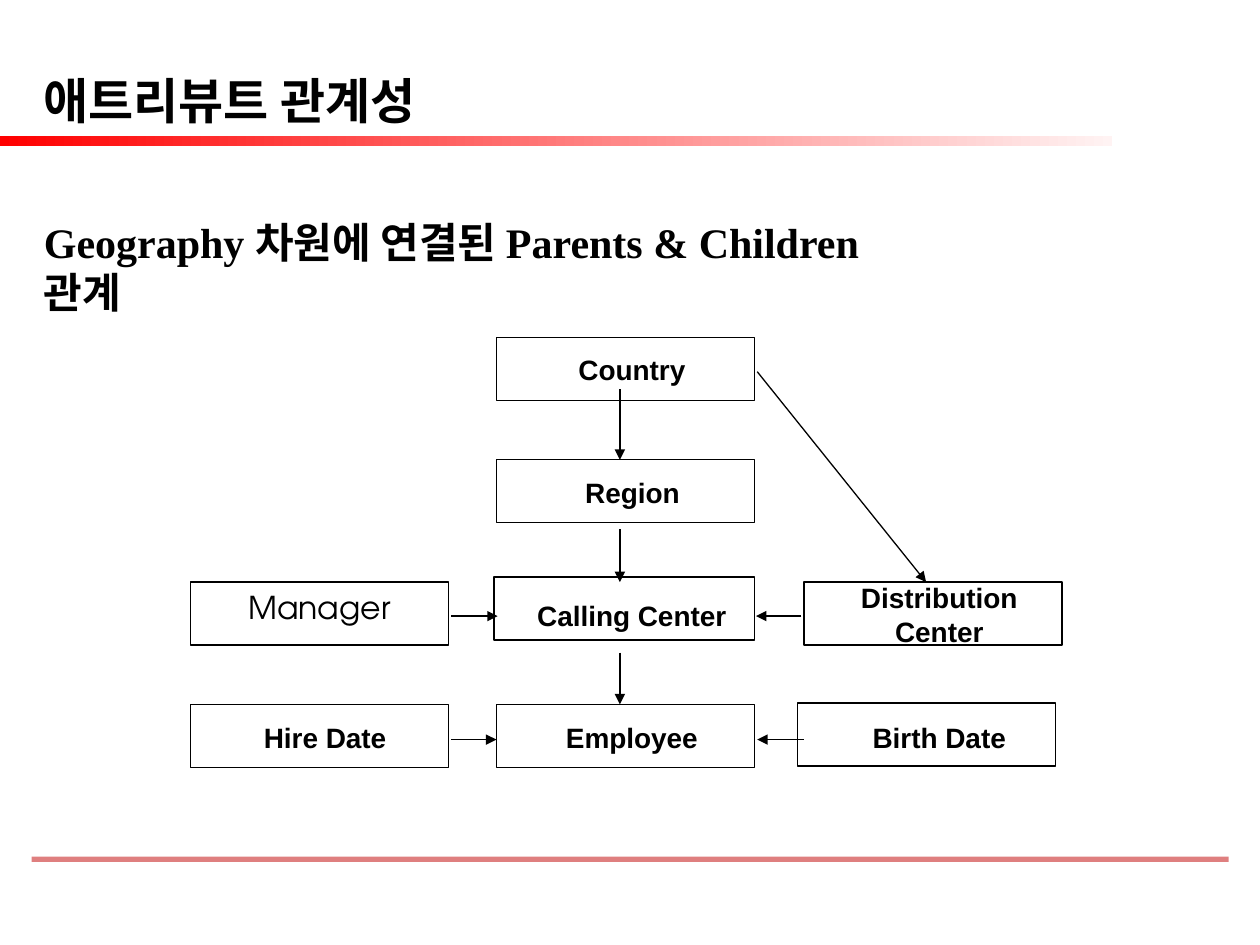
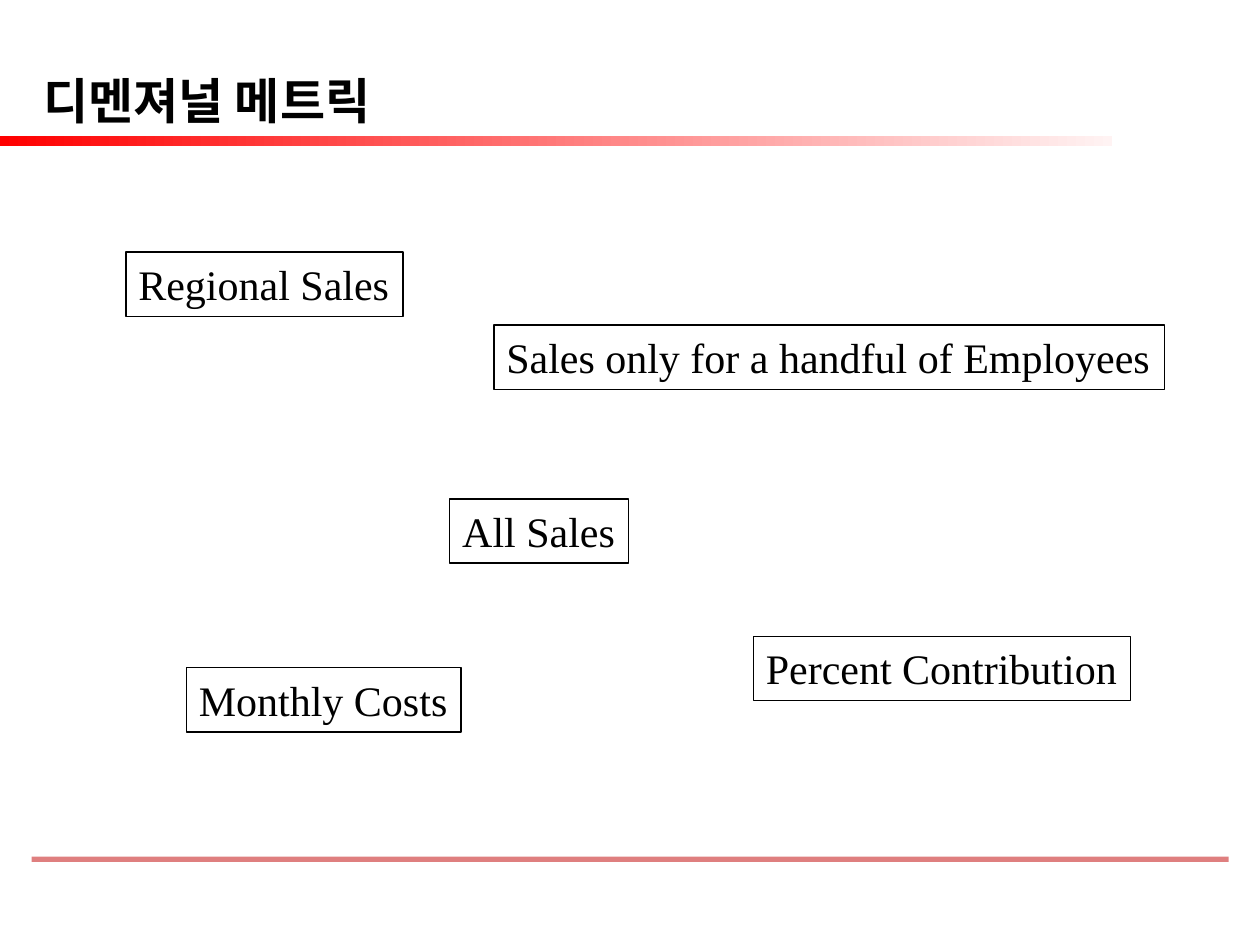
from dataclasses import dataclass

from lxml.etree import SubElement
from pptx import Presentation
from pptx.dml.color import RGBColor
from pptx.enum.shapes import MSO_CONNECTOR, MSO_SHAPE
from pptx.enum.text import MSO_ANCHOR, PP_ALIGN
from pptx.oxml.ns import qn
from pptx.util import Inches, Pt

BLACK = "000000"
WHITE = "FFFFFF"
RED = "FF0000"
PALE = "FFF3F3"
RULE = "C00000"
SANS = "Arial"
SERIF = "Times New Roman"
GEO = "TeX Gyre Adventor"


@dataclass
class Style:
    font: str
    size: int
    bold: bool = False
    align: PP_ALIGN = PP_ALIGN.LEFT


@dataclass
class Box:
    left: float
    top: float
    width: float
    height: float
    text: str = ""


@dataclass
class Arrow:
    x1: float
    y1: float
    x2: float
    y2: float


TITLE = Style(SANS, 28, True)
LEAD = Style(SERIF, 24, True)
LABEL = Style(SANS, 16, True, PP_ALIGN.CENTER)
PERSON = Style(GEO, 18, False, PP_ALIGN.CENTER)
METRIC = Style(SERIF, 24)

WIDE, HIGH = 2.05, 0.5
LEFT, MID, RIGHT = 1.51, 3.94, 6.38
NODES = [
    Box(MID, 3.65, WIDE, HIGH),
    Box(3.92, 4.58, 2.07, HIGH),
    Box(MID, 2.68, WIDE, HIGH),
    Box(RIGHT, 4.62, WIDE, HIGH),
    Box(LEFT, 5.59, WIDE, HIGH),
    Box(6.33, 5.58, WIDE, HIGH),
    Box(MID, 5.59, WIDE, HIGH),
]
MANAGER = Box(LEFT, 4.62, WIDE, HIGH, "Manager")
LABELS = [
    Box(4.59, 3.77, 0.86, 0.31, "Region"),
    Box(4.21, 4.75, 1.61, 0.31, "Calling Center"),
    Box(4.54, 2.8, 0.95, 0.31, "Country"),
    Box(6.78, 4.61, 1.35, 0.31, "Distribution"),
    Box(7.05, 4.88, 0.81, 0.31, "Center"),
    Box(2.04, 5.72, 1.08, 0.31, "Hire Date"),
    Box(6.87, 5.72, 1.17, 0.31, "Birth Date"),
    Box(4.44, 5.72, 1.15, 0.31, "Employee"),
]
AXIS = 4.92
ARROWS = [
    Arrow(6.01, 2.95, 7.35, 4.62),
    Arrow(AXIS, 3.09, AXIS, 3.65),
    Arrow(AXIS, 4.2, AXIS, 4.62),
    Arrow(AXIS, 5.18, AXIS, 5.59),
    Arrow(3.58, 5.87, 3.94, 5.87),
    Arrow(6.38, 5.87, 6.01, 5.87),
    Arrow(3.58, 4.89, 3.95, 4.89),
    Arrow(6.36, 4.89, 6, 4.89),
]
METRICS = [
    Box(1, 2, 2.2, 0.51, "Regional Sales"),
    Box(3.57, 3.96, 1.42, 0.51, "All Sales"),
    Box(3.92, 2.58, 5.32, 0.51, "Sales only for a handful of Employees"),
    Box(5.98, 5.05, 2.99, 0.51, "Percent Contribution"),
    Box(1.48, 5.3, 2.18, 0.51, "Monthly Costs"),
]


def color(code: str) -> RGBColor:
    return RGBColor.from_string(code)


def place(box: Box) -> list:
    return [Inches(n) for n in (box.left, box.top, box.width, box.height)]


def write(shape, text: str, style: Style, wrap: bool = False) -> None:
    frame = shape.text_frame
    frame.word_wrap = wrap
    frame.vertical_anchor = MSO_ANCHOR.TOP
    para = frame.paragraphs[0]
    para.text = text
    para.alignment = style.align
    font = para.font
    font.name, font.size, font.bold = style.font, Pt(style.size), style.bold
    font.color.rgb = color(BLACK)


def add_text(slide, box: Box, style: Style, wrap: bool = False):
    shape = slide.shapes.add_textbox(*place(box))
    write(shape, box.text, style, wrap)
    return shape


def add_label(slide, box: Box) -> None:
    frame = add_text(slide, box, LABEL).text_frame
    frame.margin_left = frame.margin_right = 0
    frame.margin_top = frame.margin_bottom = 0


def add_box(slide, box: Box, style: Style, fill: str = ""):
    shape = slide.shapes.add_shape(MSO_SHAPE.RECTANGLE, *place(box))
    shape.shadow.inherit = False
    if fill:
        shape.fill.solid()
        shape.fill.fore_color.rgb = color(fill)
    else:
        shape.fill.background()
    shape.line.color.rgb = color(BLACK)
    shape.line.width = Pt(0.75)
    if box.text:
        write(shape, box.text, style)


def add_line(slide, path: Arrow, code: str, width: float):
    ends = [Inches(n) for n in (path.x1, path.y1, path.x2, path.y2)]
    line = slide.shapes.add_connector(MSO_CONNECTOR.STRAIGHT, *ends)
    line.line.color.rgb = color(code)
    line.line.width = Pt(width)
    SubElement(line._element.spPr, qn("a:effectLst"))
    return line


def add_arrow(slide, path: Arrow) -> None:
    line = add_line(slide, path, BLACK, 0.75)
    SubElement(line.line._get_or_add_ln(), qn("a:tailEnd"),
               type="triangle", w="med", len="med")


def add_page(deck, title: str):
    slide = deck.slides.add_slide(deck.slide_layouts[6])
    band = slide.shapes.add_shape(
        MSO_SHAPE.RECTANGLE, *place(Box(0, 1.08, 8.83, 0.08)))
    band.shadow.inherit = False
    band.line.fill.background()
    band.fill.gradient()
    band.fill.gradient_angle = 0
    for stop, code in zip(band.fill.gradient_stops, (RED, PALE)):
        stop.color.rgb = color(code)
    rule = add_line(slide, Arrow(0.25, 6.82, 9.75, 6.82), RULE, 3)
    tint = rule._element.spPr.find(".//" + qn("a:srgbClr"))
    SubElement(tint, qn("a:alpha"), val="50000")
    head = add_text(slide, Box(0.25, 0.25, 9.5, 0.83, title), TITLE, True)
    head.text_frame.vertical_anchor = MSO_ANCHOR.BOTTOM
    return slide


def add_tree(deck) -> None:
    slide = add_page(deck, "애트리뷰트 관계성")
    for node in NODES:
        add_box(slide, node, LABEL, WHITE)
    add_box(slide, MANAGER, PERSON, WHITE)
    for label in LABELS:
        add_label(slide, label)
    for arrow in ARROWS:
        add_arrow(slide, arrow)
    lead = "Geography 차원에 연결된 Parents & Children\v관계"
    add_text(slide, Box(0.25, 1.67, 7.52, 0.5, lead), LEAD)


def add_metrics(deck) -> None:
    slide = add_page(deck, "디멘져널 메트릭")
    for metric in METRICS:
        add_box(slide, metric, METRIC)


def main() -> None:
    deck = Presentation()
    deck.slide_width, deck.slide_height = Inches(10), Inches(7.5)
    add_tree(deck)
    add_metrics(deck)
    deck.save("out.pptx")


if __name__ == "__main__":
    main()
